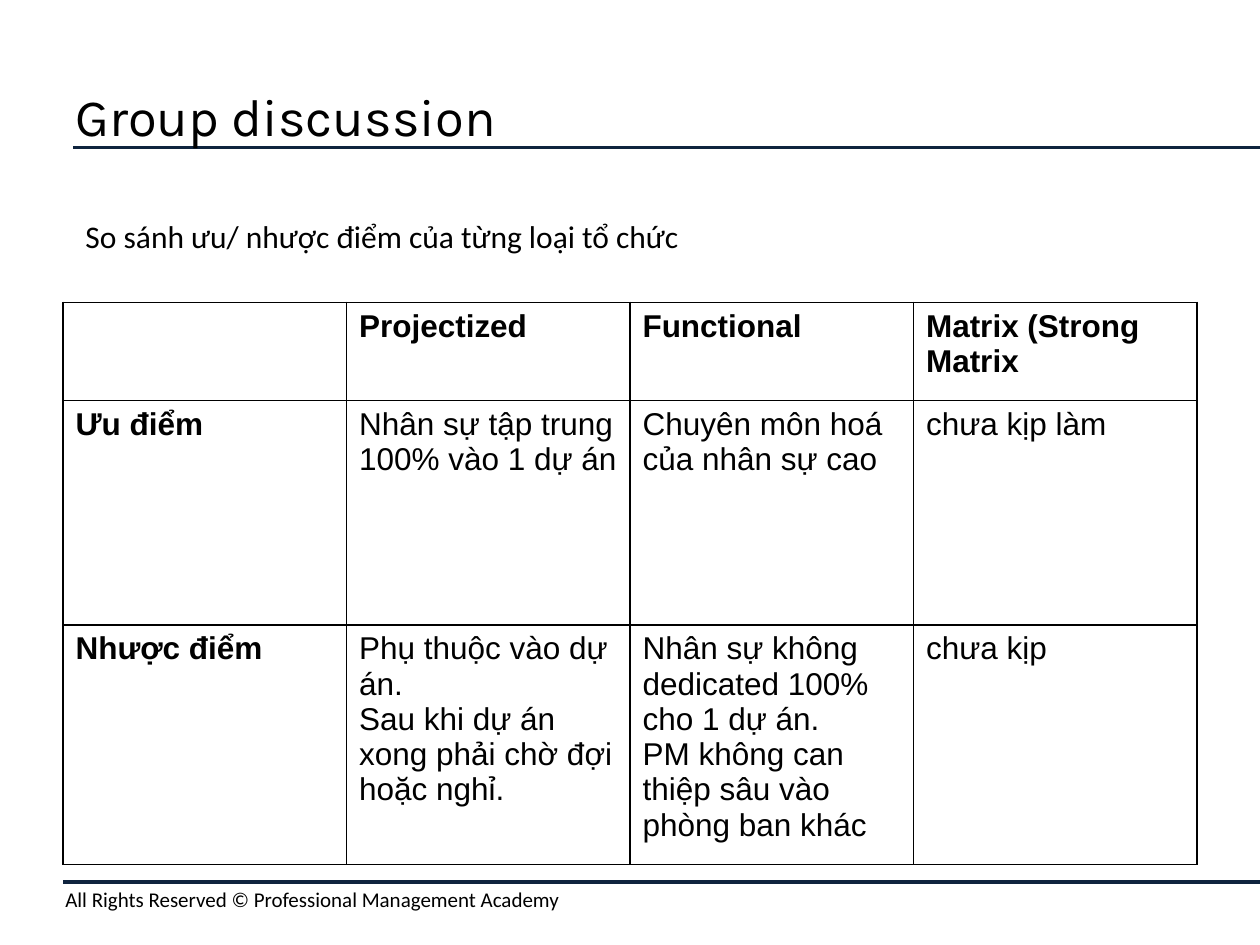
from lxml import etree
from pptx import Presentation
from pptx.dml.color import RGBColor
from pptx.enum import shapes, text
from pptx.oxml import ns
from pptx.util import Inches, Pt

BLACK = RGBColor(0x00, 0x00, 0x00)
NAVY = RGBColor(0x0F, 0x24, 0x3E)


class Page:
    """Style and current slide."""

    def __init__(self, slide):
        self.slide = slide

    def font(self, par, face, size, bold=False):
        par.font.name = face
        par.font.size = Pt(size)
        par.font.bold = bold
        par.font.color.rgb = BLACK

    def rule(self, left, top):
        line = self.slide.shapes.add_connector(
            shapes.MSO_CONNECTOR.STRAIGHT,
            Inches(left), Inches(top), Inches(10), Inches(top))
        line.line.color.rgb = NAVY
        line.line.width = Pt(2)
        etree.SubElement(line._element.spPr, ns.qn("a:effectLst"))

    def label(self, words, box, face, size, anchor=text.MSO_ANCHOR.TOP):
        frame = self.slide.shapes.add_textbox(*map(Inches, box)).text_frame
        frame.word_wrap = True
        frame.vertical_anchor = anchor
        frame.text = words
        self.font(frame.paragraphs[0], face, size)

    def border(self, cell):
        props = cell._tc.get_or_add_tcPr()
        for spot, side in enumerate(("lnL", "lnR", "lnT", "lnB")):
            edge = etree.Element(ns.qn(f"a:{side}"), w=str(Pt(1)))
            fill = etree.SubElement(edge, ns.qn("a:solidFill"))
            etree.SubElement(fill, ns.qn("a:srgbClr"), val=str(BLACK))
            props.insert(spot, edge)

    def table(self, rows, left, top, width, heights):
        table = self.slide.shapes.add_table(
            len(rows), len(rows[0]), Inches(left), Inches(top),
            Inches(width * len(rows[0])), Inches(sum(heights))).table
        for col in table.columns:
            col.width = Inches(width)
        for r, row in enumerate(rows):
            table.rows[r].height = Inches(heights[r])
            for c, words in enumerate(row):
                cell = table.cell(r, c)
                cell.text = words
                cell.fill.background()
                self.border(cell)
                for par in cell.text_frame.paragraphs:
                    self.font(par, "Arial", 18, bold=r == 0 or c == 0)


ROWS = [
    ["", "Projectized", "Functional", "Matrix (Strong Matrix"],
    ["Ưu điểm", "Nhân sự tập trung 100% vào 1 dự án",
     "Chuyên môn hoá của nhân sự cao", "chưa kịp làm"],
    ["Nhược điểm",
     "Phụ thuộc vào dự án.\nSau khi dự án xong phải chờ đợi hoặc nghỉ.",
     "Nhân sự không dedicated 100% cho 1 dự án.\n"
     "PM không can thiệp sâu vào phòng ban khác",
     "chưa kịp"],
]


def main():
    deck = Presentation()
    deck.slide_width, deck.slide_height = Inches(10), Inches(7.5)
    page = Page(deck.slides.add_slide(deck.slide_layouts[6]))

    # Rules and footer
    page.rule(0.58, 1.17)
    page.rule(0.5, 7)
    page.label("All Rights Reserved © Professional Management Academy",
               (0.42, 6.99, 9.58, 0.3), "Calibri", 12)

    # Title and question
    page.label("Group discussion", (0.5, 0.5, 9, 0.83), "Karla", 30,
               text.MSO_ANCHOR.MIDDLE)
    page.label("So sánh ưu/ nhược điểm của từng loại tổ chức",
               (0.58, 1.67, 5.51, 0.4), "Calibri", 18)

    # Comparison of organization types
    page.table(ROWS, 0.5, 2.4, 2.25, (0.78, 1.78, 1.78))

    deck.save("out.pptx")


if __name__ == "__main__":
    main()
